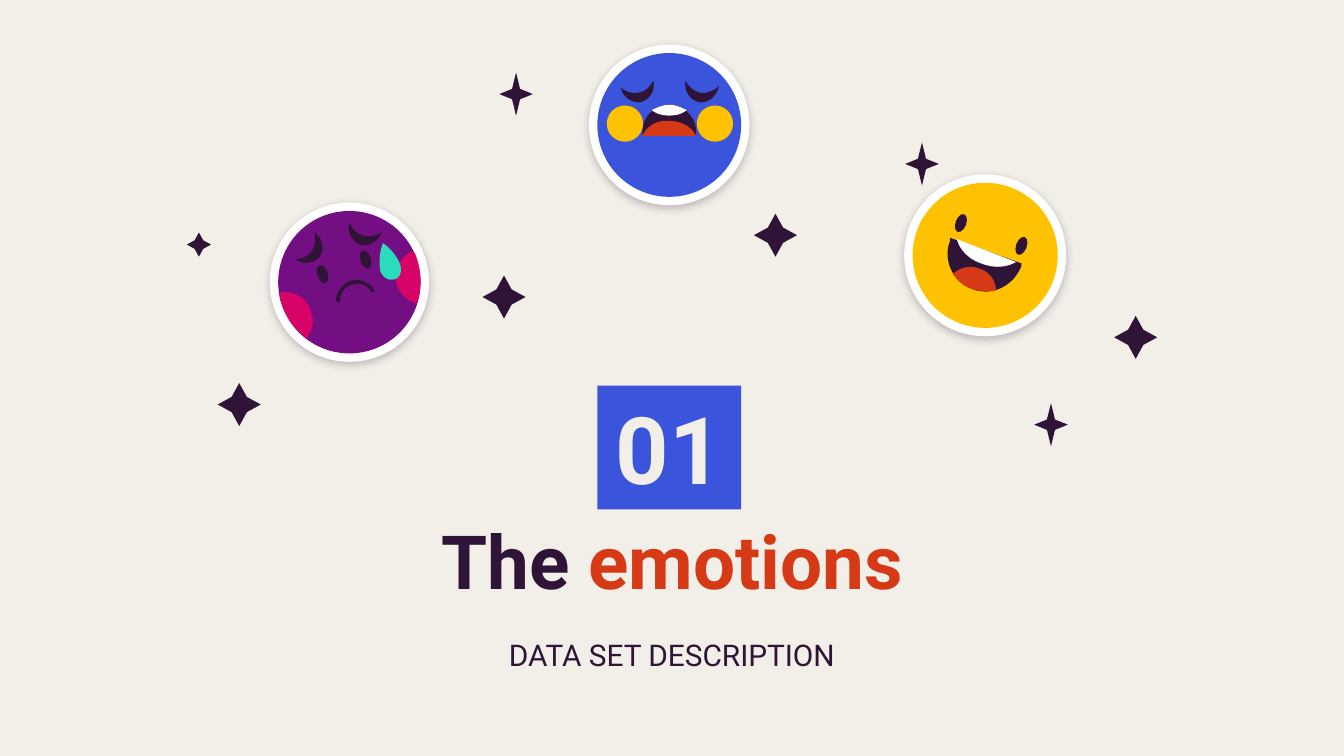
"""Section slide: three emotion faces among sparkles above a numbered title."""
from lxml import etree
from pptx import Presentation
from pptx import util as u
from pptx.dml.color import RGBColor
from pptx.enum import shapes, text
from pptx.oxml.ns import qn

WIDTH = 10
HEIGHT = WIDTH * 9 / 16
CREAM, INK, WHITE = "F1EFE7", "2F1437", "FFFFFF"
BLUE, RED, YELLOW = "3A54DC", "D53915", "FEC200"
PURPLE, PINK, TEAL = "730F83", "D80367", "2BDDBD"

# A curve holds a start point, then steps: 2 numbers for a line, 6 for a Bézier.
HAPPY = {
    "disc": (7.33, 1.9, 1.08, YELLOW),
    "curves": [
        (INK, (7.07, 1.77), [(7.07, 1.77, 7.07, 1.78, 7.07, 1.79), (7.01, 1.93, 7.09, 2.1, 7.23, 2.15),
                             (7.38, 2.21, 7.54, 2.13, 7.6, 1.98), (7.6, 1.96)]),
        (RED, (7.09, 2.04), [(7.13, 2.09, 7.17, 2.13, 7.23, 2.15), (7.29, 2.17, 7.36, 2.17, 7.41, 2.16),
                             (7.41, 2.09, 7.36, 2.02, 7.29, 2), (7.22, 1.97, 7.14, 1.99, 7.09, 2.04)]),
        (WHITE, (7.3, 1.96), [(7.4, 2, 7.49, 1.99, 7.56, 1.95), (7.12, 1.78),
                              (7.14, 1.86, 7.21, 1.93, 7.3, 1.96)]),
    ],
    "ovals": [(7.15, 1.66, 0.08, 0.14, INK, 20.6), (7.6, 1.83, 0.08, 0.14, INK, 20.6)],
}
WORRIED = {
    "disc": (2.6, 2.1, 1.06, PURPLE),
    "curves": [
        (INK, (2.7, 1.75), [(2.75, 1.77, 2.8, 1.75, 2.84, 1.73), (2.81, 1.8, 2.74, 1.84, 2.68, 1.82),
                            (2.61, 1.79, 2.58, 1.72, 2.6, 1.65), (2.61, 1.69, 2.65, 1.74, 2.7, 1.75)]),
        (INK, (2.32, 1.87), [(2.29, 1.91, 2.24, 1.93, 2.2, 1.93), (2.26, 1.97, 2.34, 1.96, 2.38, 1.91),
                             (2.42, 1.85, 2.4, 1.77, 2.34, 1.73), (2.35, 1.77, 2.35, 1.83, 2.32, 1.87)]),
        (PINK, (2.08, 2.18), [(2.08, 2.19, 2.08, 2.2, 2.08, 2.21), (2.11, 2.34, 2.18, 2.44, 2.28, 2.52),
                              (2.32, 2.47, 2.34, 2.4, 2.32, 2.34), (2.3, 2.23, 2.19, 2.15, 2.08, 2.18)]),
        (PINK, (3.07, 1.87), [(3.08, 1.87, 3.08, 1.88, 3.09, 1.89), (3.14, 2.02, 3.14, 2.15, 3.1, 2.26),
                              (3.04, 2.24, 2.99, 2.2, 2.96, 2.14), (2.92, 2.03, 2.97, 1.91, 3.07, 1.87)]),
        (TEAL, (2.85, 1.81), [(2.91, 1.85, 2.97, 1.93, 2.98, 1.98), (2.99, 2.02, 2.98, 2.07, 2.93, 2.08),
                              (2.88, 2.09, 2.85, 2.06, 2.83, 2.02), (2.82, 1.97, 2.82, 1.88, 2.85, 1.81)]),
        (INK, (2.61, 2.09), [(2.68, 2.07, 2.74, 2.1, 2.78, 2.15), (2.79, 2.16, 2.79, 2.17, 2.78, 2.17),
                             (2.77, 2.18, 2.77, 2.17, 2.76, 2.17), (2.73, 2.12, 2.68, 2.1, 2.62, 2.12),
                             (2.57, 2.13, 2.53, 2.18, 2.53, 2.23), (2.53, 2.24, 2.53, 2.25, 2.52, 2.25),
                             (2.51, 2.25, 2.5, 2.24, 2.5, 2.23), (2.51, 2.17, 2.55, 2.11, 2.61, 2.09)]),
    ],
    "ovals": [(2.4, 2.04, 0.08, 0.14, INK, -17.3), (2.72, 1.93, 0.08, 0.14, INK, -17.3)],
}
TIRED = {
    "disc": (4.98, 0.93, 1.07, BLUE),
    "curves": [
        (INK, (5.21, 0.69), [(5.16, 0.68, 5.12, 0.64, 5.1, 0.6), (5.09, 0.68, 5.13, 0.74, 5.2, 0.76),
                             (5.27, 0.77, 5.33, 0.72, 5.35, 0.64), (5.32, 0.67, 5.26, 0.7, 5.21, 0.69)]),
        (INK, (4.75, 0.69), [(4.81, 0.68, 4.84, 0.64, 4.86, 0.6), (4.88, 0.68, 4.83, 0.74, 4.77, 0.76),
                             (4.7, 0.77, 4.63, 0.72, 4.62, 0.65), (4.65, 0.68, 4.7, 0.7, 4.75, 0.69)]),
        (INK, (5.18, 1.01), [(5.18, 0.98), (5.18, 0.87, 5.09, 0.78, 4.98, 0.78),
                             (4.87, 0.78, 4.78, 0.87, 4.78, 0.98), (4.78, 1.01)]),
        (RED, (5.18, 1.01), [(5.15, 0.95, 5.08, 0.9, 4.98, 0.9), (4.89, 0.89, 4.81, 0.94, 4.78, 1.01)]),
        (WHITE, (5.11, 0.82), [(5.07, 0.8, 5.03, 0.78, 4.98, 0.78), (4.93, 0.78, 4.89, 0.8, 4.85, 0.82),
                               (4.89, 0.85, 4.93, 0.86, 4.98, 0.86), (5.03, 0.86, 5.07, 0.85, 5.11, 0.82)]),
    ],
    "ovals": [(4.65, 0.92, 0.27, 0.27, YELLOW, 0), (5.32, 0.92, 0.27, 0.27, YELLOW, 0)],
}
SPARKLES = [
    ((0.25, 0.32, 0.17), [(7.82, 3.16), (6.86, 1.22), (3.84, 0.7)]),
    ((0.32, 0.32, 0.25), [(8.45, 2.51), (5.77, 1.75), (3.75, 2.21), (1.78, 3.01)]),
    ((0.18, 0.18, 0.25), [(1.48, 1.82)]),
]


def rgb(color):
    return RGBColor.from_string(color)


def paint(shape, color, edge=0):
    shape.shadow.inherit = False
    shape.fill.solid()
    shape.fill.fore_color.rgb = rgb(color)
    if edge:
        shape.line.color.rgb = rgb(color)
        shape.line.width = u.Pt(edge)
    else:
        shape.line.fill.background()
    return shape


def place(shape, left, top, width, height):
    shape.left, shape.top = u.Inches(left), u.Inches(top)
    shape.width, shape.height = u.Inches(width), u.Inches(height)


def write(shape, runs, size, bold=False, anchor=text.MSO_ANCHOR.MIDDLE, spacing=1.0):
    frame = shape.text_frame
    frame.word_wrap, frame.auto_size = True, text.MSO_AUTO_SIZE.NONE
    frame.vertical_anchor = anchor
    frame.margin_left = frame.margin_right = frame.margin_top = frame.margin_bottom = u.Inches(0.1)
    line = frame.paragraphs[0]
    line.alignment, line.line_spacing = text.PP_ALIGN.CENTER, spacing
    line.space_before = u.Pt(0)
    for words, color in runs:
        run = line.add_run()
        run.text = words
        run.font.name, run.font.size, run.font.bold = "Roboto", u.Pt(size), bold
        run.font.color.rgb = rgb(color)


def centred(slide, kind, x, y, width, height, color, turn=0, edge=0):
    shape = slide.shapes.add_shape(kind, *map(u.Inches, (x - width / 2, y - height / 2, width, height)))
    shape.rotation = turn
    return paint(shape, color, edge)


def cast_shadow(shape):
    effects = shape._element.spPr.find(qn("a:effectLst"))
    shadow = etree.SubElement(effects, qn("a:outerShdw"), blurRad=str(u.Pt(4.5)), dist=str(u.Pt(1.5)),
                              dir="5400000", algn="bl", rotWithShape="0")
    tint = etree.SubElement(shadow, qn("a:srgbClr"), val=INK)
    etree.SubElement(tint, qn("a:alpha"), val="25000")


def trace(start, steps, samples=12):
    points = [start]
    for step in steps:
        if len(step) == 2:
            points.append(step)
            continue
        knots = [points[-1], step[:2], step[2:4], step[4:]]
        for i in range(1, samples + 1):
            t = i / samples
            weights = ((1 - t) ** 3, 3 * t * (1 - t) ** 2, 3 * t * t * (1 - t), t ** 3)
            points.append(tuple(sum(w * k[axis] for w, k in zip(weights, knots)) for axis in (0, 1)))
    return [(u.Inches(x), u.Inches(y)) for x, y in points]


def draw_face(slide, face):
    x, y, size, color = face["disc"]
    oval = shapes.MSO_SHAPE.OVAL
    cast_shadow(centred(slide, oval, x, y, size, size, WHITE, edge=9))
    centred(slide, oval, x, y, size, size, color)
    for tone, start, steps in face["curves"]:
        first, *rest = trace(start, steps)
        outline = slide.shapes.build_freeform(*first)
        outline.add_line_segments(rest, close=True)
        paint(outline.convert_to_shape(), tone)
    for *box, tone, turn in face["ovals"]:
        centred(slide, oval, *box, tone, turn=turn)


def main():
    deck = Presentation()
    deck.slide_width, deck.slide_height = u.Inches(WIDTH), u.Inches(HEIGHT)
    slide = deck.slides.add_slide(deck.slide_layouts[0])
    slide.background.fill.solid()
    slide.background.fill.fore_color.rgb = rgb(CREAM)

    heading, subtitle = slide.placeholders
    place(heading, 1.86, 3.84, 6.28, 0.76)
    write(heading, [("The ", INK), ("emotions", RED)], 40, bold=True, anchor=text.MSO_ANCHOR.BOTTOM)
    place(subtitle, 1.86, 4.6, 6.28, 0.44)
    write(subtitle, [("DATA SET DESCRIPTION", INK)], 16, anchor=text.MSO_ANCHOR.TOP, spacing=1.15)
    number = centred(slide, shapes.MSO_SHAPE.RECTANGLE, 4.98, 3.33, 1.07, 0.92, BLUE)
    write(number, [("01", CREAM)], 50, bold=True)

    for face in (HAPPY, WORRIED, TIRED):
        draw_face(slide, face)
    for (width, height, waist), centres in SPARKLES:
        for x, y in centres:
            star = centred(slide, shapes.MSO_SHAPE.STAR_4_POINT, x, y, width, height, INK)
            star.adjustments[0] = waist
    deck.save("out.pptx")


if __name__ == "__main__":
    main()
